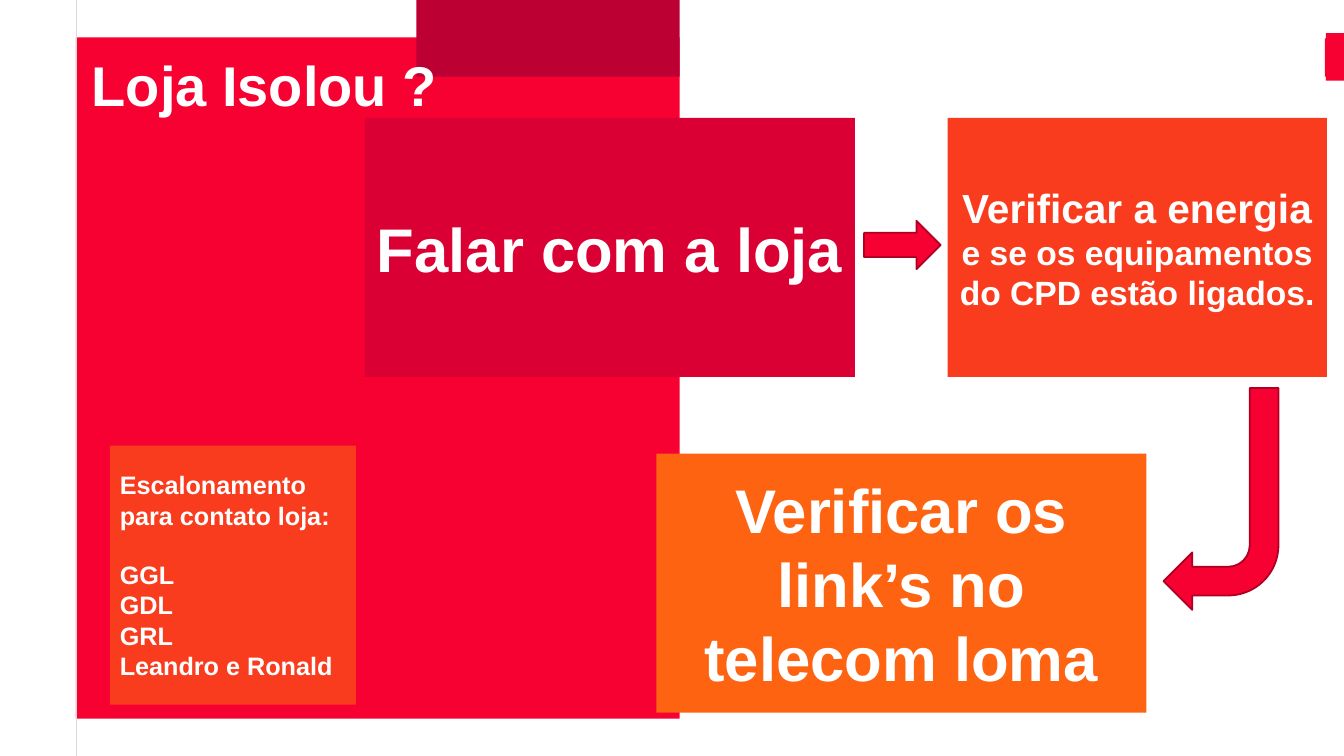
from lxml import etree
from pptx import Presentation
from pptx.dml.color import RGBColor
from pptx.enum.shapes import MSO_CONNECTOR, MSO_SHAPE
from pptx.enum.text import MSO_ANCHOR, MSO_AUTO_SIZE, PP_ALIGN
from pptx.oxml.ns import qn
from pptx.util import Pt

EMU_PER_PX = 9144
FONT = "Arial"
RED, DARK_RED, CRIMSON = "F70032", "BC0033", "DA0033"
ORANGE, VERMILION = "FD6310", "FA3C1E"
ARROW_EDGE, GUIDE_GRAY, WHITE = "AF0023", "DADADA", "FFFFFF"
RECTANGLE = MSO_SHAPE.RECTANGLE
RIGHT_ARROW = MSO_SHAPE.RIGHT_ARROW
BENT_ARROW = MSO_SHAPE.BENT_ARROW
STRAIGHT = MSO_CONNECTOR.STRAIGHT
TOP, MIDDLE = MSO_ANCHOR.TOP, MSO_ANCHOR.MIDDLE
LEFT, CENTER = PP_ALIGN.LEFT, PP_ALIGN.CENTER
NO_FIT = MSO_AUTO_SIZE.NONE

STEP_WIDTH, STEP_HEIGHT, STEP_TOP = 486, 257, 117
CONTACTS = [
    "Escalonamento para contato loja:",
    "GGL",
    "GDL",
    "GRL",
    "Leandro e Ronald",
]


def px(*values):
    return [value * EMU_PER_PX for value in values]


def color(code):
    return RGBColor.from_string(code)


def style_font(font, size):
    font.name = FONT
    font.size = Pt(size)
    font.bold = True
    font.color.rgb = color(WHITE)


def add_block(page, kind, bounds, fill):
    block = page.shapes.add_shape(kind, *px(*bounds))
    block.shadow.inherit = False
    block.fill.solid()
    block.fill.fore_color.rgb = color(fill)
    block.line.fill.background()
    return block


def add_arrow(page, kind, bounds, rotation=0):
    arrow = add_block(page, kind, bounds, RED)
    arrow.rotation = rotation
    arrow.line.color.rgb = color(ARROW_EDGE)
    arrow.line.width = Pt(1.25)


def add_guide(page, left, bottom):
    guide = page.shapes.add_connector(STRAIGHT, *px(left, 0, left, bottom))
    guide.line.color.rgb = color(GUIDE_GRAY)
    guide.line.width = Pt(0.75)
    properties = guide.element.find(qn("p:spPr"))
    etree.SubElement(properties, qn("a:effectLst"))


def add_step(page, bounds, fill, spans):
    frame = add_block(page, RECTANGLE, bounds, fill).text_frame
    frame.word_wrap = True
    frame.vertical_anchor = MIDDLE
    para = frame.paragraphs[0]
    para.alignment = CENTER
    for text, size in spans:
        span = para.add_run()
        span.text = text
        style_font(span.font, size)


def add_contact_list(page, bounds, lines):
    frame = add_block(page, RECTANGLE, bounds, VERMILION).text_frame
    frame.word_wrap = True
    frame.vertical_anchor = MIDDLE
    frame.text = "\n".join(lines)
    for para in frame.paragraphs:
        para.alignment = LEFT
        style_font(para.font, 18)
    frame.paragraphs[1].space_before = Pt(21)


def place_title(page, bounds, text):
    title = page.shapes.title
    title.left, title.top, title.width, title.height = px(*bounds)
    frame = title.text_frame
    frame.text = text
    frame.auto_size = NO_FIT
    frame.word_wrap = True
    frame.vertical_anchor = TOP
    frame.margin_left = frame.margin_right = 0
    frame.margin_top = frame.margin_bottom = 0
    para = frame.paragraphs[0]
    para.alignment = LEFT
    para.line_spacing = Pt(23.8)
    style_font(para.font, 40)
    title.element.getparent().append(title.element)


def main():
    deck = Presentation()
    deck.slide_width, deck.slide_height = px(1333, 750)
    page = deck.slides.add_slide(deck.slide_layouts[5])

    add_block(page, RECTANGLE, (1314, 38, 19, 38), RED)
    add_block(page, RECTANGLE, (75, 37, 599, 676), RED)
    add_block(page, RECTANGLE, (0, 0, 75, 750), WHITE)
    add_block(page, RECTANGLE, (413, 0, 261, 76), DARK_RED)
    add_guide(page, 76, 750)

    add_step(page, (362, STEP_TOP, STEP_WIDTH, STEP_HEIGHT), CRIMSON,
             [("Falar com a loja", 44)])
    add_step(page, (651, 450, STEP_WIDTH, STEP_HEIGHT), ORANGE,
             [("Verificar os link’s no telecom loma", 44)])
    add_step(page, (940, STEP_TOP, 376, STEP_HEIGHT), VERMILION,
             [("Verificar a energia ", 29),
              ("e se os equipamentos do CPD estão ligados.", 24)])
    place_title(page, (91, 84, 363, 34), "Loja Isolou ?")

    add_block(page, RECTANGLE, (1315, 33, 18, 47), RED)
    add_arrow(page, RIGHT_ARROW, (857, 219, 76, 48))
    add_arrow(page, BENT_ARROW, (1154, 385, 114, 220), 180)
    add_contact_list(page, (109, 442, 244, STEP_HEIGHT), CONTACTS)

    deck.save("out.pptx")


if __name__ == "__main__":
    main()
